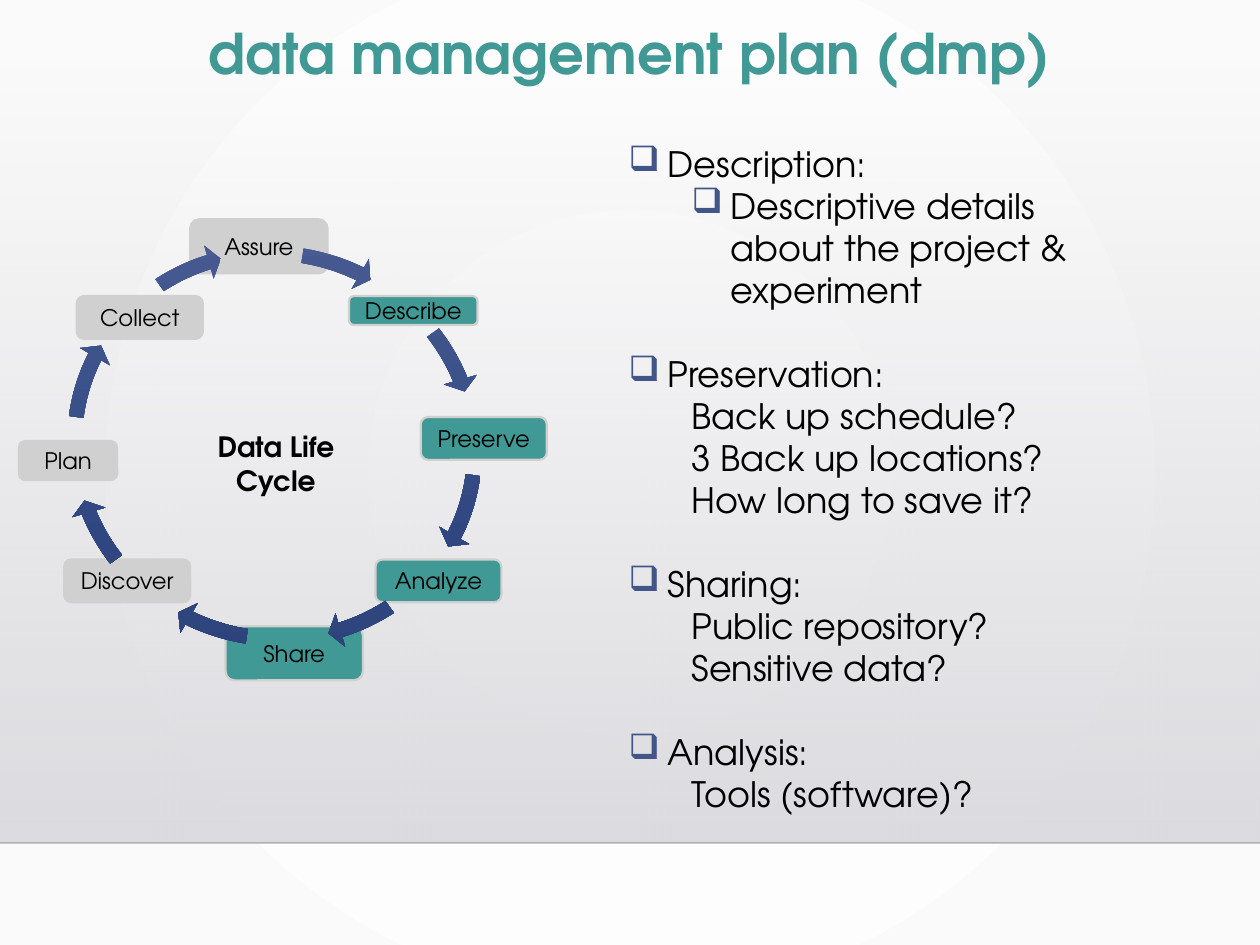
from lxml import etree
from pptx import Presentation
from pptx.dml.color import RGBColor
from pptx.enum.shapes import MSO_CONNECTOR, MSO_SHAPE
from pptx.enum.text import MSO_ANCHOR, PP_ALIGN
from pptx.oxml.ns import qn
from pptx.util import Inches, Pt

ROUND, RECT, ARC = MSO_SHAPE.ROUNDED_RECTANGLE, MSO_SHAPE.RECTANGLE, MSO_SHAPE.CIRCULAR_ARROW
STRAIGHT = MSO_CONNECTOR.STRAIGHT
TOP, MID = MSO_ANCHOR.TOP, MSO_ANCHOR.MIDDLE
LEFT, MIDDLE = PP_ALIGN.LEFT, PP_ALIGN.CENTER

THEME = {
    "font": "TeX Gyre Adventor",
    "teal": "409995", "grey": "D0D0D0", "ink": "000000", "mark": "415588", "rule": "000001",
    "back": [(0, "FFFFFF", 100), (100, "FAFAFA", 100)],
    "panel": [(0, "DCDCE0", 0), (100, "DEDEE2", 100)],
    "arrow": [(0, "4C5F95", 100), (69, "2F4680", 100), (100, "2D4279", 100)],
    "title": 32, "body": 20, "hub": 16, "label": 13,
}

TITLE = "data management plan (dmp)"
HUB = "Data Life Cycle"
STEPS = [
    ("Discover", "grey", 0.51, 4.44, 1, 0.34),
    ("Analyze", "teal", 2.98, 4.44, 1, 0.34),
    ("Describe", "teal", 2.77, 2.35, 1.02, 0.23),
    ("Collect", "grey", 0.61, 2.35, 1, 0.34),
    ("Assure", "grey", 1.51, 1.74, 1.09, 0.43),
    ("Plan", "grey", 0.15, 3.5, 0.78, 0.31),
    ("Share", "teal", 1.79, 4.97, 1.09, 0.43),
    ("Preserve", "teal", 3.34, 3.31, 1, 0.34),
]
RING = (0.52, 1.81, 3.32, 3.46)
TURN = 289.2
FULL = 216
ARCS = [(30.69, 21.14), (58.35, 47.48)]
TOPICS = [
    ("Description:", ["Descriptive details about the project & experiment"], True),
    ("Preservation:", ["Back up schedule?", "3 Back up locations?", "How long to save it?"], False),
    ("Sharing:", ["Public repository?", "Sensitive data?"], False),
    ("Analysis:", ["Tools (software)?"], False),
]


def node(root, tag, **attrs):
    return etree.SubElement(root, qn("a:" + tag), attrs)


def blend(fill, root, stops, radial=False):
    fill.gradient()
    grad = next(root.iter(qn("a:gradFill")))
    for child in list(grad):
        grad.remove(child)
    grad.set("rotWithShape", "0")
    row = node(grad, "gsLst")
    for pos, color, alpha in stops:
        tint = node(node(row, "gs", pos=str(pos * 1000)), "srgbClr", val=color)
        if alpha < 100:
            node(tint, "alpha", val=str(alpha * 1000))
    if radial:
        half = dict.fromkeys("ltrb", "50000")
        node(node(grad, "path", path="circle"), "fillToRect", **half)
    else:
        node(grad, "lin", ang="5400000", scaled="0")


def place(slide, kind, spot):
    shape = slide.shapes.add_shape(kind, *map(Inches, spot))
    shape.shadow.inherit = False
    shape.line.fill.background()
    return shape


def write(frame, text, size="body", color="ink", bold=False, align=LEFT, anchor=TOP,
          level=0, indent=0, hang=0, mark=None, before=0, lead=None, fresh=True):
    frame.word_wrap = True
    frame.vertical_anchor = anchor
    para = frame.paragraphs[0] if fresh else frame.add_paragraph()
    para.level = level
    prop = para._p.get_or_add_pPr()
    prop.set("marL", str(Inches(indent)))
    prop.set("indent", str(Inches(-hang)))
    if mark:
        node(node(prop, "buClr"), "srgbClr", val=THEME["mark"])
        node(prop, "buChar", char=mark)
    else:
        node(prop, "buNone")
    para.alignment = align
    para.space_before = Pt(before)
    if lead:
        para.line_spacing = lead
    run = para.add_run()
    run.text = text
    font = run.font
    font.name, font.size, font.bold = THEME["font"], Pt(THEME[size]), bold
    font.color.rgb = RGBColor.from_string(THEME[color])


def stage(slide):
    blend(slide.background.fill, slide._element, THEME["back"], radial=True)
    panel = place(slide, RECT, (0, 0.51, 10, 6.18))
    blend(panel.fill, panel._element, THEME["panel"])
    rule = slide.shapes.add_connector(STRAIGHT, 0, Inches(6.69), Inches(10), Inches(6.69))
    rule.line.width = Pt(1)
    rule.line.color.rgb = RGBColor.from_string(THEME["rule"])
    node(next(rule._element.iter(qn("a:srgbClr"))), "alpha", val="20000")
    node(rule._element.spPr, "effectLst")


def head(slide):
    title = slide.shapes.title
    title.left, title.top, title.width, title.height = map(Inches, (0, 0.16, 10, 0.93))
    slide.shapes._spTree.append(title._element)
    write(title.text_frame, TITLE, size="title", color="teal", bold=True, align=MIDDLE, lead=0.9)


def cycle(slide):
    for text, fill, *spot in STEPS:
        box = place(slide, ROUND, spot)
        box.fill.solid()
        box.fill.fore_color.rgb = RGBColor.from_string(THEME[fill])
        box.line.color.rgb = RGBColor.from_string(THEME["grey"])
        box.line.width = Pt(1.25)
        frame = box.text_frame
        frame.margin_left = frame.margin_right = frame.margin_top = frame.margin_bottom = 0
        write(frame, text, size="label", align=MIDDLE, anchor=MID)
    for turn in range(4):
        for end, start in ARCS:
            shift = turn * FULL / 4
            arc = place(slide, ARC, RING)
            arc.rotation = TURN
            sizes = (0.035, 2.17, (end + shift) % FULL, (start + shift) % FULL, 0.041)
            for i, size in enumerate(sizes):
                arc.adjustments[i] = size
            blend(arc.fill, arc._element, THEME["arrow"])
    hub = slide.shapes.add_textbox(*map(Inches, (1.35, 3.36, 1.68, 0.3)))
    write(hub.text_frame, HUB, size="hub", bold=True, align=MIDDLE)


def notes(slide):
    frame = slide.shapes.add_textbox(*map(Inches, (4.89, 1.08, 4.31, 6.16))).text_frame
    for i, (topic, items, marked) in enumerate(TOPICS):
        gap = THEME["body"] * 1.2 if i else 0
        write(frame, topic, indent=0.31, hang=0.31, mark="❑", before=gap, fresh=i == 0)
        form = {"indent": 0.81, "hang": 0.31, "mark": "❑"} if marked else {"indent": 0.5}
        for item in items:
            write(frame, item, level=1, fresh=False, **form)


def main():
    deck = Presentation()
    deck.slide_width, deck.slide_height = Inches(10), Inches(7.5)
    slide = deck.slides.add_slide(deck.slide_layouts[5])
    for part in (stage, head, cycle, notes):
        part(slide)
    deck.save("out.pptx")


if __name__ == "__main__":
    main()
